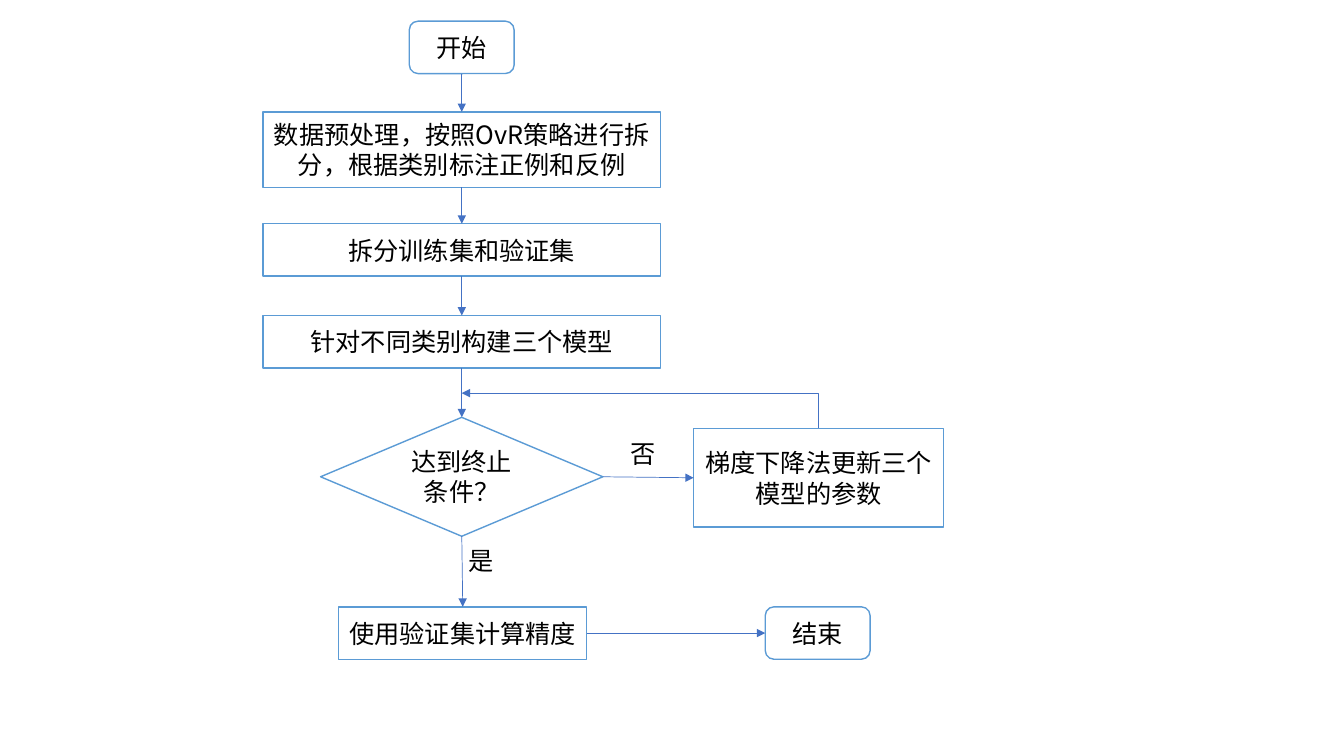
from dataclasses import dataclass

from lxml.etree import SubElement
from pptx import Presentation
from pptx.dml.color import RGBColor
from pptx.enum.lang import MSO_LANGUAGE_ID
from pptx.enum.shapes import MSO_CONNECTOR, MSO_SHAPE
from pptx.enum.text import MSO_ANCHOR, MSO_AUTO_SIZE, PP_ALIGN
from pptx.oxml.ns import qn
from pptx.shapes.autoshape import Shape
from pptx.shapes.connector import Connector
from pptx.shapes.shapetree import SlideShapes
from pptx.util import Emu, Pt

PX = 9144
FONT = "Noto Sans CJK SC"
WHITE = RGBColor(0xFF, 0xFF, 0xFF)
BLACK = RGBColor(0, 0, 0)
SKY = RGBColor(0x5B, 0x9B, 0xD5)
BLUE = RGBColor(0x44, 0x72, 0xC4)
ROUND = MSO_SHAPE.ROUNDED_RECTANGLE
RECT = MSO_SHAPE.RECTANGLE
TOP, LEFT, BOTTOM, RIGHT = range(4)


@dataclass(frozen=True)
class Step:
    """A box of the flow chart, in px."""
    key: str
    text: str
    left: int
    top: int
    width: int
    height: int
    kind: MSO_SHAPE = RECT


@dataclass(frozen=True)
class Link:
    """A straight arrow between two steps."""
    tail: str
    head: str
    out: int = BOTTOM
    into: int = TOP


@dataclass(frozen=True)
class Label:
    """The answer beside a branch, in px."""
    text: str
    left: int
    top: int


STEPS = [
    Step("start", "开始", 406, 21, 104, 52, ROUND),
    Step("prep", "数据预处理，按照OvR策略进行拆分，根据类别标注正例和反例", 261, 111, 394, 75),
    Step("split", "拆分训练集和验证集", 261, 222, 394, 52),
    Step("build", "针对不同类别构建三个模型", 261, 313, 394, 52),
    Step("check", "达到终止条件？", 318, 414, 280, 118, MSO_SHAPE.DIAMOND),
    Step("update", "梯度下降法更新三个模型的参数", 688, 425, 248, 98),
    Step("score", "使用验证集计算精度", 336, 602, 246, 52),
    Step("end", "结束", 759, 602, 104, 52, ROUND),
]
LINKS = [
    Link("start", "prep"),
    Link("prep", "split"),
    Link("split", "build"),
    Link("build", "check"),
    Link("check", "score"),
    Link("check", "update", RIGHT, LEFT),
    Link("score", "end", RIGHT, LEFT),
]
LABELS = [Label("是", 455, 536), Label("否", 615, 430)]


def px(*sizes: int) -> list[Emu]:
    """Turn px into EMU."""
    return [Emu(size * PX) for size in sizes]


def write(shape: Shape, text: str) -> None:
    """Put text in a shape and format it."""
    frame = shape.text_frame
    frame.word_wrap = True
    frame.text = text
    run = frame.paragraphs[0].runs[0]
    font = run.font
    font.name = FONT
    font.size = Pt(18)
    font.color.rgb = BLACK
    font.language_id = MSO_LANGUAGE_ID.SIMPLIFIED_CHINESE
    SubElement(font._element, qn("a:ea")).set("typeface", FONT)


def add_step(shapes: SlideShapes, step: Step) -> Shape:
    """Draw one box."""
    box = shapes.add_shape(step.kind, *px(step.left, step.top, step.width, step.height))
    box.shadow.inherit = False
    box.fill.solid()
    box.fill.fore_color.rgb = WHITE
    box.line.color.rgb = SKY
    box.line.width = Pt(1)
    write(box, step.text)
    box.text_frame.vertical_anchor = MSO_ANCHOR.MIDDLE
    box.text_frame.paragraphs[0].alignment = PP_ALIGN.CENTER
    return box


def style(line: Connector, tip: str) -> None:
    """Colour a connector and add its arrowhead."""
    line.line.color.rgb = BLUE
    line.line.width = Pt(0.5)
    SubElement(line.line._get_or_add_ln(), qn(tip)).set("type", "triangle")
    SubElement(line._element.spPr, qn("a:effectLst"))


def add_link(shapes: SlideShapes, link: Link, boxes: dict[str, Shape]) -> None:
    """Join two boxes with an arrow."""
    line = shapes.add_connector(MSO_CONNECTOR.STRAIGHT, *px(0, 0, 0, 0))
    line.begin_connect(boxes[link.tail], link.out)
    line.end_connect(boxes[link.head], link.into)
    style(line, "a:tailEnd")


def add_loop(shapes: SlideShapes) -> None:
    """Draw the arrow that leads back to the check."""
    line = shapes.add_connector(MSO_CONNECTOR.ELBOW, *px(458, 390, 812, 425))
    line._element.spPr.find(qn("a:prstGeom")).set("prst", "bentConnector2")
    style(line, "a:headEnd")


def add_label(shapes: SlideShapes, label: Label) -> None:
    """Write the answer beside a branch."""
    box = shapes.add_textbox(*px(label.left, label.top, 111, 40))
    write(box, label.text)
    box.text_frame.auto_size = MSO_AUTO_SIZE.SHAPE_TO_FIT_TEXT


def main() -> None:
    """Build and save the slide."""
    deck = Presentation()
    deck.slide_width, deck.slide_height = px(1333, 750)
    shapes = deck.slides.add_slide(deck.slide_layouts[6]).shapes
    boxes = {step.key: add_step(shapes, step) for step in STEPS}
    for link in LINKS:
        add_link(shapes, link, boxes)
    add_loop(shapes)
    for label in LABELS:
        add_label(shapes, label)
    deck.save("out.pptx")


if __name__ == "__main__":
    main()
